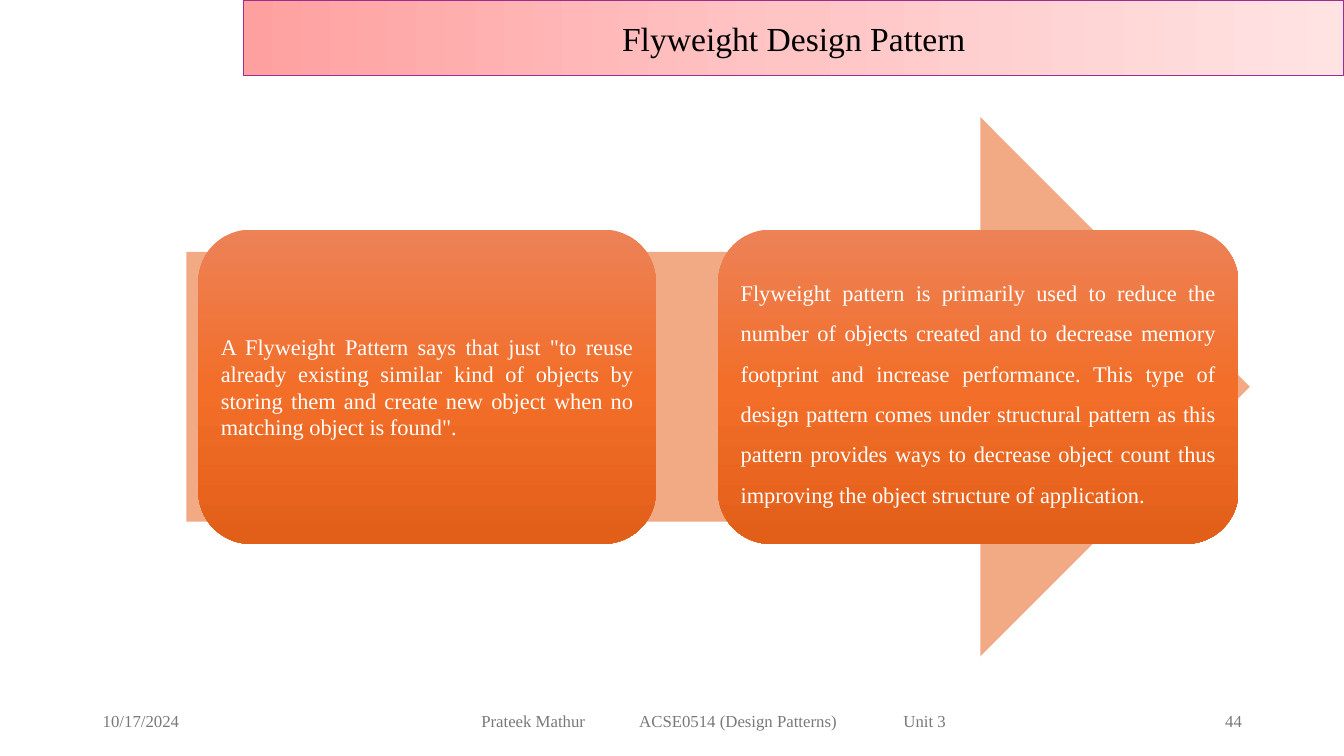
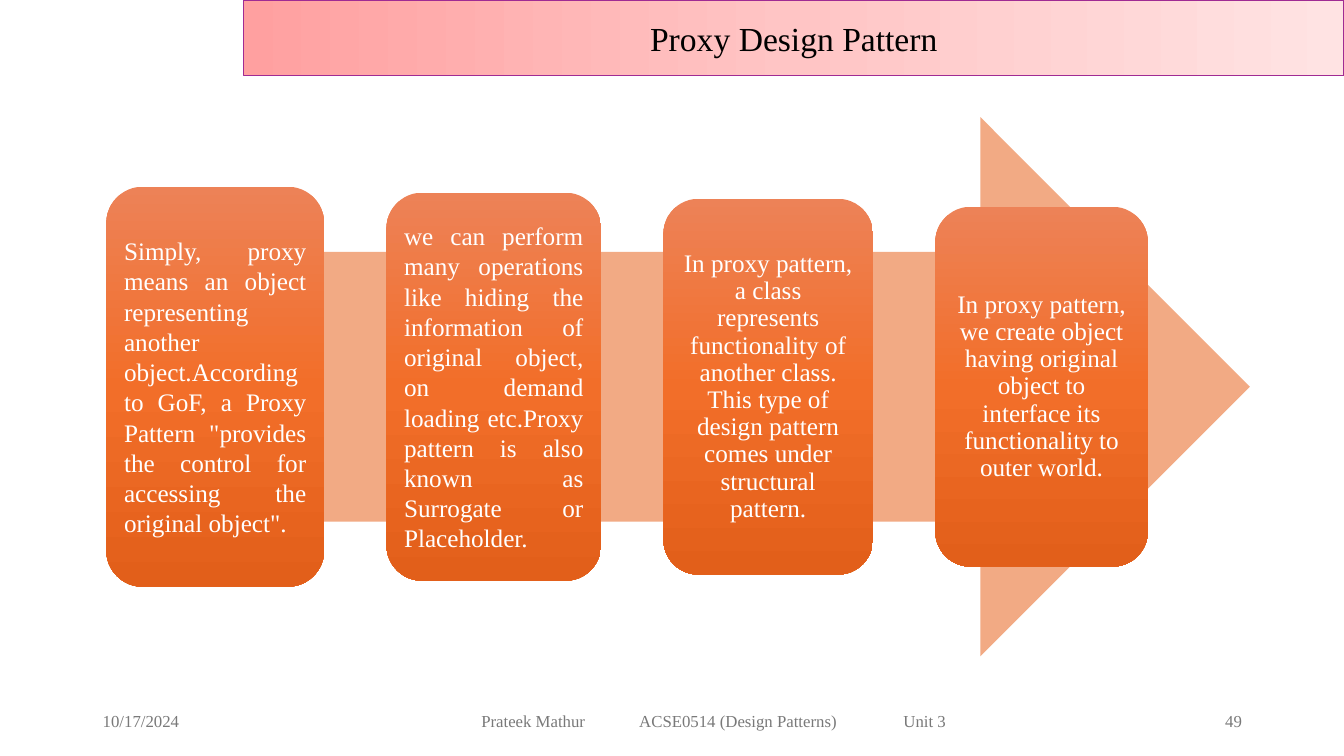
from copy import deepcopy
from dataclasses import dataclass

from lxml.etree import SubElement
from pptx import Presentation
from pptx.dml.color import RGBColor
from pptx.enum.shapes import MSO_SHAPE
from pptx.enum.text import MSO_ANCHOR, PP_ALIGN
from pptx.oxml.ns import qn
from pptx.util import Cm, Pt

JUSTIFY, CENTER, LEFT, RIGHT = (
    PP_ALIGN.JUSTIFY, PP_ALIGN.CENTER, PP_ALIGN.LEFT, PP_ALIGN.RIGHT)

DATE = "10/17/2024"
COURSE = ("Prateek Mathur", "ACSE0514 (Design Patterns)", "Unit 3")

# Each card: width, height (cm), alignment, line spacing, text
SLIDES = [
    dict(title="Flyweight Design Pattern", number=44, first_left=5.0, size=16, cards=[
        (11.53, 7.92, JUSTIFY, 1.0,
         'A Flyweight Pattern says that just "to reuse already existing similar '
         'kind of objects by storing them and create new object when no matching '
         'object is found".'),
        (13.11, 7.92, JUSTIFY, 1.5,
         "Flyweight pattern is primarily used to reduce the number of objects "
         "created and to decrease memory footprint and increase performance. This "
         "type of design pattern comes under structural pattern as this pattern "
         "provides ways to decrease object count thus improving the object "
         "structure of application."),
    ]),
    dict(title="Proxy Design Pattern", number=49, first_left=2.68, size=18, cards=[
        (5.49, 10.08, JUSTIFY, 1.0,
         "Simply, proxy means an object representing another object.According to "
         'GoF, a Proxy Pattern "provides the control for accessing the original '
         'object".'),
        (5.41, 9.78, JUSTIFY, 1.0,
         "we can perform many operations like hiding the information of original "
         "object, on demand loading etc.Proxy pattern is also known as Surrogate "
         "or Placeholder."),
        (5.28, 9.47, CENTER, 0.9,
         "In proxy pattern, a class represents functionality of another class. "
         "This type of design pattern comes under structural pattern."),
        (5.36, 9.07, CENTER, 0.9,
         "In proxy pattern, we create object having original object to interface "
         "its functionality to outer world."),
    ]),
]


@dataclass(frozen=True)
class Theme:
    font: str = "Times New Roman"
    title_size: int = 24
    footer_size: int = 12
    title_text: str = "000000"
    card_text: str = "FFFFFF"
    footer_text: str = "797979"
    band: tuple = ("FFA0A0", "FFC5C5", "FFE3E3")
    band_line: str = "A02B93"
    card: tuple = ("ED8257", "F26E29", "E25F1A")
    arrow: str = "F2AA84"


THEME = Theme()
WIDTH, HEIGHT = 33.87, 19.05
BAND_LEFT, BAND_HEIGHT = 6.14, 1.91
ARROW = (4.7, 2.95, 26.8, 13.59)
MIDDLE = ARROW[1] + ARROW[3] / 2
CARD_GAP = 1.57
CARD_INSET = 0.18
FOOTER_TOP, FOOTER_HEIGHT = 17.65, 1.02
COURSE_INSET = 0.9
COURSE_TABS = (3.98, 10.64)


def rgb(code):
    return RGBColor.from_string(code)


def fill_gradient(shape, colors, angle):
    """Spread three colours evenly; the angle runs counter-clockwise."""
    shape.fill.gradient()
    shape.fill.gradient_angle = angle
    first = shape._element.spPr.find(".//" + qn("a:gs"))
    first.addnext(deepcopy(first))
    for index, (stop, color) in enumerate(zip(shape.fill.gradient_stops, colors)):
        stop.position = index / (len(colors) - 1)
        stop.color.rgb = rgb(color)


def add_block(slide, preset, box):
    shape = slide.shapes.add_shape(preset, *map(Cm, box))
    shape.shadow.inherit = False
    shape.line.fill.background()
    return shape


def write(shape, text, size, color, align, spacing=None, tabs=()):
    frame = shape.text_frame
    frame.word_wrap = True
    frame.vertical_anchor = MSO_ANCHOR.MIDDLE
    paragraph = frame.paragraphs[0]
    paragraph.alignment = align
    if spacing:
        paragraph.line_spacing = spacing
    if tabs:
        stops = SubElement(paragraph._p.get_or_add_pPr(), qn("a:tabLst"))
        for position in tabs:
            SubElement(stops, qn("a:tab"), pos=str(Cm(position)), algn="l")
    run = paragraph.add_run()
    run.text = text
    run.font.name = THEME.font
    run.font.size = Pt(size)
    run.font.color.rgb = rgb(color)


def add_title(slide, title):
    band = add_block(slide, MSO_SHAPE.RECTANGLE,
                     (BAND_LEFT, 0, WIDTH - BAND_LEFT, BAND_HEIGHT))
    fill_gradient(band, THEME.band, 0)
    band.line.color.rgb = rgb(THEME.band_line)
    band.line.width = Pt(1)
    write(band, title, THEME.title_size, THEME.title_text, CENTER)


def add_footer(slide, number):
    parts = [
        (2.34, 7.62, DATE, LEFT, ()),
        (11.23, 13.56, "\t".join(COURSE), LEFT, COURSE_TABS),
        (23.93, 7.62, str(number), RIGHT, ()),
    ]
    for left, width, text, align, tabs in parts:
        box = slide.shapes.add_textbox(
            Cm(left), Cm(FOOTER_TOP), Cm(width), Cm(FOOTER_HEIGHT))
        if tabs:
            box.text_frame.margin_left = Cm(COURSE_INSET)
        write(box, text, THEME.footer_size, THEME.footer_text, align, tabs=tabs)


def add_process(slide, cards, left, size):
    """Draw the arrow and a row of cards centred on its axis."""
    arrow = add_block(slide, MSO_SHAPE.RIGHT_ARROW, ARROW)
    arrow.fill.solid()
    arrow.fill.fore_color.rgb = rgb(THEME.arrow)
    for width, height, align, spacing, text in cards:
        card = add_block(slide, MSO_SHAPE.ROUNDED_RECTANGLE,
                         (left, MIDDLE - height / 2, width, height))
        fill_gradient(card, THEME.card, 270)
        frame = card.text_frame
        frame.margin_left = frame.margin_right = Cm(CARD_INSET)
        frame.margin_top = frame.margin_bottom = Cm(CARD_INSET)
        write(card, text, size, THEME.card_text, align, spacing)
        left += width + CARD_GAP


def main():
    deck = Presentation()
    deck.slide_width, deck.slide_height = Cm(WIDTH), Cm(HEIGHT)
    for content in SLIDES:
        slide = deck.slides.add_slide(deck.slide_layouts[6])
        add_title(slide, content["title"])
        add_footer(slide, content["number"])
        add_process(slide, content["cards"], content["first_left"], content["size"])
    deck.save("out.pptx")


if __name__ == "__main__":
    main()
